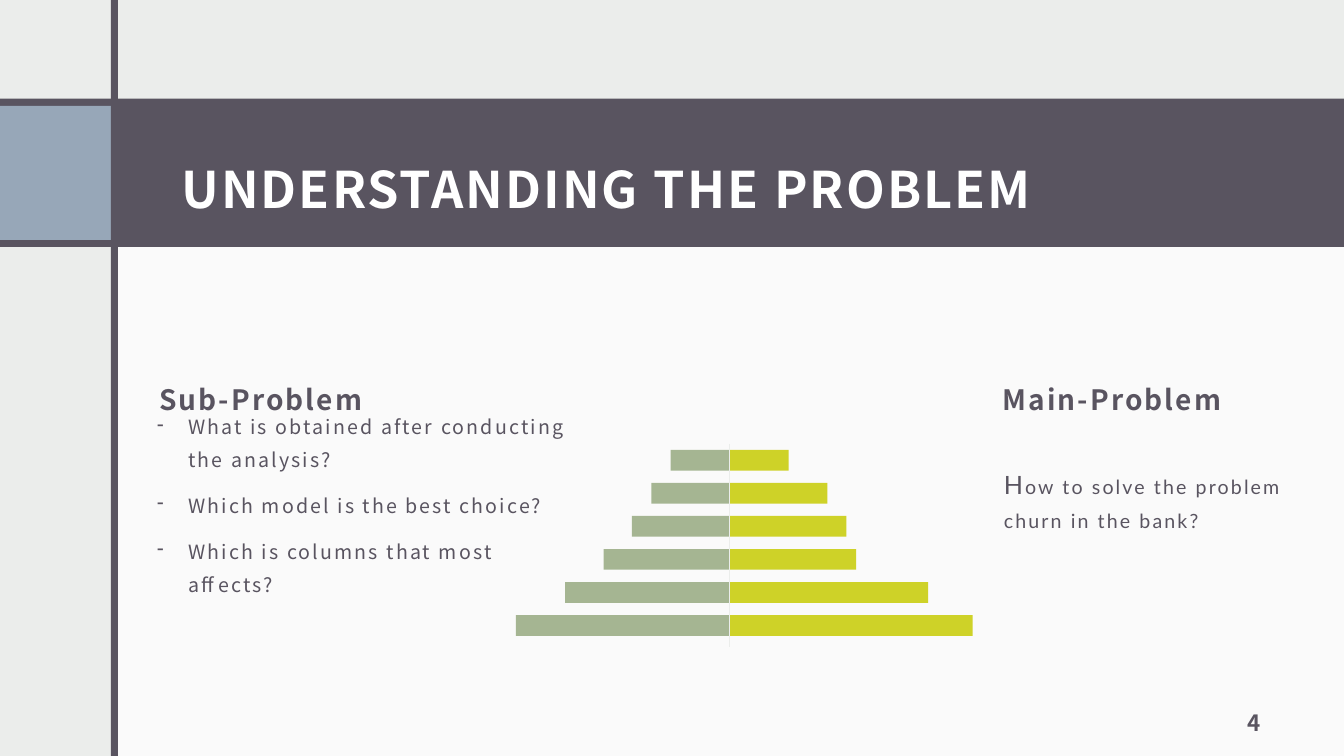
from pptx import Presentation
from pptx.dml.color import RGBColor
from pptx.enum.shapes import MSO_CONNECTOR, MSO_SHAPE
from pptx.enum.text import MSO_ANCHOR, MSO_AUTO_SIZE, PP_ALIGN
from pptx.oxml.ns import qn
from pptx.util import Inches, Pt
from lxml.etree import SubElement

theme = {
    "font": "Noto Sans CJK JP", "alt": "Lato",
    "back": "EBEDEB", "panel": "FAFAFA", "dark": "595460", "blue": "97A7B8",
    "white": "FFFFFF", "green": "A5B592", "lime": "CED228",
    "title": 36, "head": 20, "lead": 18, "num": 16, "body": 14, "track": 150,
}
# Grid cells are a tenth of an inch
cols, rows = 133.33, 75
cell = Inches(0.1)

deck = Presentation()
deck.slide_width, deck.slide_height = round(cols * cell), round(rows * cell)
slide = deck.slides.add_slide(deck.slide_layouts[5])
slide.background.fill.solid()
slide.background.fill.fore_color.rgb = RGBColor.from_string(theme["back"])
shapes = slide.shapes


def block(x, y, w, h, color):
    shape = shapes.add_shape(MSO_SHAPE.RECTANGLE, *[round(v * cell) for v in (x, y, w, h)])
    shape.shadow.inherit = False
    shape.fill.solid()
    shape.fill.fore_color.rgb = RGBColor.from_string(theme[color])
    shape.line.fill.background()


def write(shape, place, lines, form, size, color="dark", bold=False,
          anchor=MSO_ANCHOR.TOP, inset=1):
    shape.left, shape.top, shape.width, shape.height = [round(v * cell) for v in place]
    frame = shape.text_frame
    fit = {"word_wrap": True, "auto_size": MSO_AUTO_SIZE.NONE, "vertical_anchor": anchor,
           "margin_left": inset * cell, "margin_right": inset * cell,
           "margin_top": inset * cell, "margin_bottom": cell}
    for key, value in fit.items():
        setattr(frame, key, round(value) if key.startswith("margin") else value)
    for i, line in enumerate(lines):
        para = frame.add_paragraph() if i else frame.paragraphs[0]
        for key, value in form.items():
            setattr(para, key, value)
        for text, *style in line:
            run = para.add_run()
            run.text = text
            name, points = style or (theme["font"], size)
            look = {"name": name, "size": Pt(points), "bold": bold}
            for key, value in look.items():
                setattr(run.font, key, value)
            run.font.color.rgb = RGBColor.from_string(theme[color])
            run.font._element.set("spc", str(theme["track"]))
    return frame


# Panel, title band and side strip
bands = [
    (11.4, 23.3, cols - 11.4, rows - 23.3, "panel"),
    (0, 9.8, cols, 14.7, "dark"),
    (0, 10.5, 11, 13.3, "blue"),
    (11, 0, 0.7, rows, "dark"),
]
for band in bands:
    block(*band)

# Title, brought in front of the band
title = shapes.title
shapes._spTree.append(title._element)
left = {"alignment": PP_ALIGN.LEFT, "line_spacing": 1.5}
right = {"alignment": PP_ALIGN.RIGHT}
write(title, (16.8, 11.4, 109.5, 11.3), [[("UNDERSTANDING THE PROBLEM",)]], left,
      theme["title"], "white", True, MSO_ANCHOR.MIDDLE, 1.2)

# Page number and headings
labels = [
    ("4", (115.6, 69, 10.7, 5), right, "num", 1.2),
    ("Sub-Problem", (14.8, 36, 31.9, 6.3), left, "head", 1),
    ("Main-Problem ", (88.2, 36, 34.8, 6.3), {**left, **right}, "head", 1),
]
for text, place, form, size, inset in labels:
    write(shapes.add_textbox(0, 0, 0, 0), place, [[(text,)]], form, theme[size],
          bold=True, anchor=MSO_ANCHOR.BOTTOM, inset=inset)

# Questions
body = {"line_spacing": 1.4, "space_before": Pt(9.3)}
asks = ["What is obtained after conducting the analysis?",
        "Which model is the best choice?",
        "Which is columns that most affects?"]
main = [("H", theme["alt"], theme["lead"]),
        ("ow to solve the problem churn in the bank?", theme["alt"], theme["body"])]
sub = write(shapes.add_textbox(0, 0, 0, 0), (13.3, 39.2, 45.3, 22.9),
            [[(ask,)] for ask in asks], body, theme["body"])
goal = write(shapes.add_textbox(0, 0, 0, 0), (97.4, 44.4, 36, 12.2),
             [main], body, theme["body"])

# Indents and dash bullets
for frame, margin, hang, dash in [(sub, 4.4, -3.1, "-"), (goal, 1.2, 0, None)]:
    for para in frame.paragraphs:
        props = para._p.get_or_add_pPr()
        props.set("marL", str(round(margin * cell)))
        props.set("indent", str(round(hang * cell)))
        if dash:
            SubElement(props, qn("a:buChar")).set("char", dash)

# Mirrored bars, top row first
axis, top, pitch, thick = 72.38, 44.63, 3.28, 2.05
pairs = [(5.85, 5.85), (7.75, 9.7), (9.7, 11.6), (12.5, 12.55), (16.3, 19.7), (21.2, 24.1)]
for i, (less, more) in enumerate(pairs):
    y = top + i * pitch
    block(axis - less, y, less, thick, "green")
    block(axis, y, more, thick, "lime")

# Centre line
line = shapes.add_connector(MSO_CONNECTOR.STRAIGHT,
                            *[round(v * cell) for v in (axis, 44, axis, 64.2)])
line.line.color.rgb = RGBColor.from_string(theme["back"])
line.line.width = Pt(0.75)
SubElement(line._element.spPr, qn("a:effectLst"))

deck.save("out.pptx")
